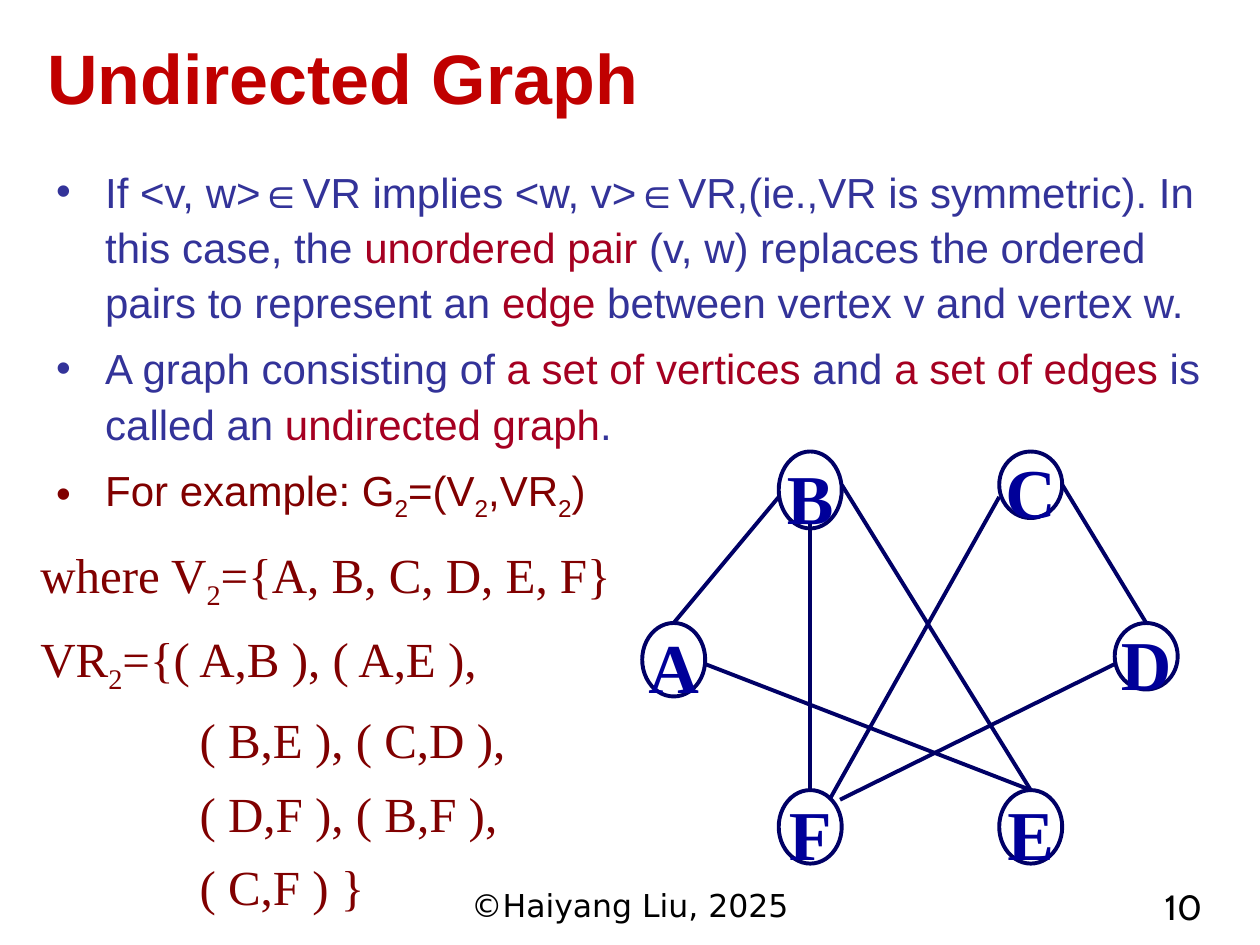
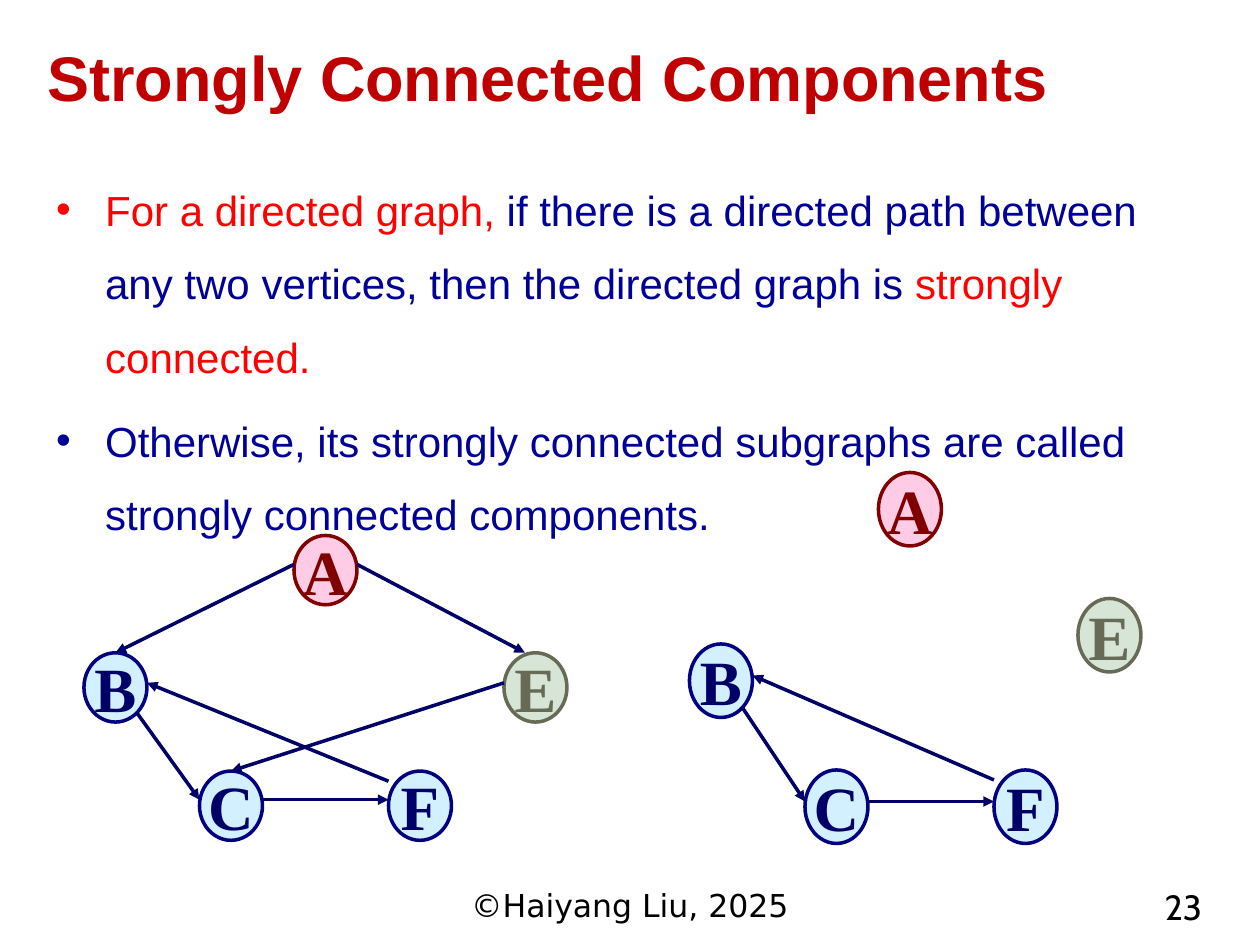
from dataclasses import dataclass

import pptx
import pptx.dml.color
import pptx.enum.shapes
import pptx.enum.text
import pptx.oxml
import pptx.oxml.ns
import pptx.util

Pt = pptx.util.Pt
ALIGN = pptx.enum.text.PP_ALIGN
ANCHOR = pptx.enum.text.MSO_ANCHOR


@dataclass(frozen=True)
class Theme:
    """Colours, fonts and type sizes shared by the slides."""
    title: str = "C00000"
    black: str = "000000"
    indigo: str = "333399"
    crimson: str = "A50021"
    maroon: str = "800000"
    red: str = "FF0000"
    blue: str = "000099"
    edge: str = "000066"
    sans: str = "Arial"
    serif: str = "Times New Roman"
    footer_font: str = "DejaVu Sans"
    number_font: str = "Cabin"
    body_size: int = 24
    set_size: int = 28
    footer_size: int = 18
    number_size: int = 20


@dataclass(frozen=True)
class NodeStyle:
    """Look of one kind of graph vertex."""
    line: str
    text: str
    size: int
    weight: float
    fill: str = ""
    drop: float = 0


THEME = Theme()
OPEN_NODE = NodeStyle(THEME.edge, THEME.blue, 40, 2.25, drop=7)
BLUE_NODE = NodeStyle("000080", THEME.edge, 36, 2, "A7E2FF")
PINK_NODE = NodeStyle(THEME.maroon, THEME.maroon, 36, 2, "FF99CC")
GREEN_NODE = NodeStyle("676A55", "676A55", 36, 2, "B0CCB0")
COMPONENTS = {"A": PINK_NODE, "B": BLUE_NODE, "C": BLUE_NODE,
              "E": GREEN_NODE, "F": BLUE_NODE}
NODE_WIDTH = 36
TITLE_BOX = (20, 15, 596, 57)
BODY_BOX = (25, 88.5, 669, 209)
FOOTER_BOX = (246, 502.5, 228, 28)
NUMBER_BOX = (584, 502.5, 110, 28)


def rgb(value):
    """Turn a hex string into a colour."""
    return pptx.dml.color.RGBColor.from_string(value)


def make_element(tag, **attributes):
    """Create a DrawingML element with attributes."""
    element = pptx.oxml.parse_xml(f"<a:{tag} {pptx.oxml.ns.nsdecls('a')}/>")
    for name, value in attributes.items():
        element.set(name, str(value))
    return element


def format_font(font, name, size, colour, bold=False):
    """Apply a face, size, colour and weight to a font."""
    font.name, font.size, font.bold = name, Pt(size), bold
    font.color.rgb = rgb(colour)


def add_text_frame(slide, box):
    """Add a wrapping text box and return its frame."""
    frame = slide.shapes.add_textbox(*map(Pt, box)).text_frame
    frame.word_wrap = True
    return frame


def add_line_of_text(slide, box, text, font, size, colour, align=ALIGN.LEFT, bold=False):
    """Add a text box that holds one formatted paragraph."""
    frame = add_text_frame(slide, box)
    frame.text = text
    paragraph = frame.paragraphs[0]
    paragraph.alignment = align
    format_font(paragraph.runs[0].font, font, size, colour, bold)
    return frame


def add_runs(paragraph, text, font, size, colour):
    """Add text whose parts between tildes are subscripts."""
    for index, part in enumerate(text.split("~")):
        if part:
            run = paragraph.add_run()
            run.text = part
            format_font(run.font, font, size, colour)
            if index % 2:
                run._r.get_or_add_rPr().set("baseline", "-25000")


def add_paragraphs(frame, count):
    """Return the given number of paragraphs in an empty frame."""
    return [frame.paragraphs[0]] + [frame.add_paragraph() for _ in range(count - 1)]


def add_bullets(slide, box, bullets, spacing):
    """Add a bulleted list of multicoloured paragraphs."""
    paragraphs = add_paragraphs(add_text_frame(slide, box), len(bullets))
    for paragraph, parts in zip(paragraphs, bullets):
        properties = paragraph._p.get_or_add_pPr()
        properties.set("marL", str(Pt(28)))
        properties.set("indent", str(-Pt(28)))
        properties.append(make_element("buFont", typeface=THEME.sans))
        properties.append(make_element("buChar", char="•"))
        paragraph.line_spacing = spacing
        paragraph.space_after = Pt(6)
        for text, colour in parts:
            add_runs(paragraph, text, THEME.sans, THEME.body_size, colour)


def add_set_definition(slide, box, lines):
    """Add the vertex and edge sets, each line with its left indent."""
    paragraphs = add_paragraphs(add_text_frame(slide, box), len(lines))
    for paragraph, (text, indent) in zip(paragraphs, lines):
        paragraph._p.get_or_add_pPr().set("marL", str(Pt(indent)))
        paragraph.line_spacing = 1.25
        add_runs(paragraph, text, THEME.serif, THEME.set_size, THEME.maroon)


def add_node(slide, left, top, height, label, style):
    """Add one labelled vertex."""
    shape = slide.shapes.add_shape(pptx.enum.shapes.MSO_SHAPE.OVAL, Pt(left), Pt(top),
                                   Pt(NODE_WIDTH), Pt(height))
    shape.shadow.inherit = False
    shape.line.color.rgb = rgb(style.line)
    shape.line.width = Pt(style.weight)
    if style.fill:
        shape.fill.solid()
        shape.fill.fore_color.rgb = rgb(style.fill)
        colour = shape._element.spPr.find(".//" + pptx.oxml.ns.qn("a:srgbClr"))
        colour.append(make_element("alpha", val=50000))
    else:
        shape.fill.background()
    frame = shape.text_frame
    frame.margin_left = frame.margin_right = frame.margin_bottom = 0
    frame.margin_top = Pt(style.drop)
    frame.word_wrap = False
    frame.vertical_anchor = ANCHOR.MIDDLE
    frame.text = label
    frame.paragraphs[0].alignment = ALIGN.CENTER
    format_font(frame.paragraphs[0].runs[0].font, THEME.serif, style.size, style.text, True)
    return shape


def add_graph(slide, origin, nodes, edges, styles, weight, directed):
    """Draw vertices and edges; an edge ends at a point or on top of a named vertex."""
    left, top = origin
    shapes = {label: add_node(slide, left + x, top + y, height, label, styles[label])
              for label, (x, y, height) in nodes.items()}
    for start, end in edges:
        target = (0, 0) if end in shapes else end
        connector = slide.shapes.add_connector(
            pptx.enum.shapes.MSO_CONNECTOR.STRAIGHT, Pt(left + start[0]), Pt(top + start[1]),
            Pt(left + target[0]), Pt(top + target[1]))
        if end in shapes:
            connector.end_connect(shapes[end], 0)
        connector.line.color.rgb = rgb(THEME.edge)
        connector.line.width = Pt(weight)
        properties = connector._element.spPr
        if directed:
            properties.find(pptx.oxml.ns.qn("a:ln")).append(
                make_element("tailEnd", type="triangle"))
        properties.append(make_element("effectLst"))


def add_base_slide(presentation, title, title_size, number):
    """Add a slide with its title, copyright line and number."""
    slide = presentation.slides.add_slide(presentation.slide_layouts[6])
    frame = add_line_of_text(slide, TITLE_BOX, title, THEME.sans, title_size,
                             THEME.title, bold=True)
    frame.vertical_anchor = ANCHOR.MIDDLE
    add_line_of_text(slide, FOOTER_BOX, "©Haiyang Liu, 2025", THEME.footer_font,
                     THEME.footer_size, THEME.black, ALIGN.CENTER)
    add_line_of_text(slide, NUMBER_BOX, str(number), THEME.number_font,
                     THEME.number_size, THEME.black, ALIGN.RIGHT)
    return slide


def add_undirected_slide(presentation):
    """Build the slide that defines an undirected graph."""
    slide = add_base_slide(presentation, "Undirected Graph", 40, 10)
    add_bullets(slide, BODY_BOX, [
        [("If <v, w>∈VR implies <w, v>∈VR,(ie.,VR is symmetric). In this case, the ",
          THEME.indigo),
         ("unordered pair ", THEME.crimson),
         ("(v, w) replaces the ordered pairs to represent an ", THEME.indigo),
         ("edge", THEME.crimson),
         (" between vertex v and vertex w.", THEME.indigo)],
        [("A graph consisting of ", THEME.indigo),
         ("a set of vertices", THEME.crimson),
         (" and ", THEME.indigo),
         ("a set of edges", THEME.crimson),
         (" is called an ", THEME.indigo),
         ("undirected graph", THEME.crimson),
         (".", THEME.indigo)],
        [("For example: G~2~=(V~2~,VR~2~)", THEME.maroon)],
    ], 1.1)
    add_set_definition(slide, (16, 298, 346, 220), [
        ("where V~2~={A, B, C, D, E, F}", 0),
        ("VR~2~={( A,B ), ( A,E ),", 0),
        ("( B,E ), ( C,D ),", 91),
        ("( D,F ), ( B,F ),", 91),
        ("( C,F ) }", 91),
    ])
    nodes = {"A": (0, 98, 42), "B": (78, 0, 44), "C": (204, 0, 38),
             "D": (270, 98, 38), "E": (204, 193.5, 42), "F": (78, 193.5, 42)}
    edges = [((78, 26), "A"), ((114, 19), "E"), ((36, 121.5), "E"),
             ((204, 26), (107, 199)), ((240, 19), "D"),
             ((270, 121.5), (113, 199)), ((96, 41.5), "F")]
    add_graph(slide, (367, 258), nodes, edges, dict.fromkeys(nodes, OPEN_NODE), 2.25, False)


def add_components_slide(presentation):
    """Build the slide that shows strongly connected components."""
    slide = add_base_slide(presentation, "Strongly Connected Components", 36, 23)
    add_bullets(slide, BODY_BOX, [
        [("For a directed graph, ", THEME.red),
         ("if there is a directed path between any two vertices, "
          "then the directed graph is", THEME.blue),
         (" strongly connected.", THEME.red)],
        [("Otherwise, its strongly connected subgraphs are called "
          "strongly connected components.", THEME.blue)],
    ], Pt(42))
    whole_nodes = {"A": (120, 0, 39.6), "B": (0, 67, 39.6), "E": (240, 67, 39.6),
                   "C": (66, 134.6, 39.6), "F": (174, 134.6, 39.6)}
    whole_edges = [((120, 16.5), "B"), ((30, 101), (66, 151)), ((102, 151), (174, 151)),
                   ((156, 16.5), (252, 67)), ((174, 140.4), (36, 84.2)),
                   ((240, 84.2), "C")]
    add_graph(slide, (48, 306), whole_nodes, whole_edges, COMPONENTS, 2, True)
    split_nodes = {"B": (0, 98, 42), "C": (66, 170, 42), "F": (174, 170, 42),
                   "A": (108, 0, 42), "E": (222, 72, 42)}
    split_edges = [((30, 134), (66, 188)), ((102, 188), (174, 188)),
                   ((174, 175.7), (36, 116))]
    add_graph(slide, (394, 270), split_nodes, split_edges, COMPONENTS, 2, True)


def main():
    """Build and save the presentation."""
    presentation = pptx.Presentation()
    presentation.slide_width, presentation.slide_height = Pt(720), Pt(540)
    add_undirected_slide(presentation)
    add_components_slide(presentation)
    presentation.save("out.pptx")


if __name__ == "__main__":
    main()
